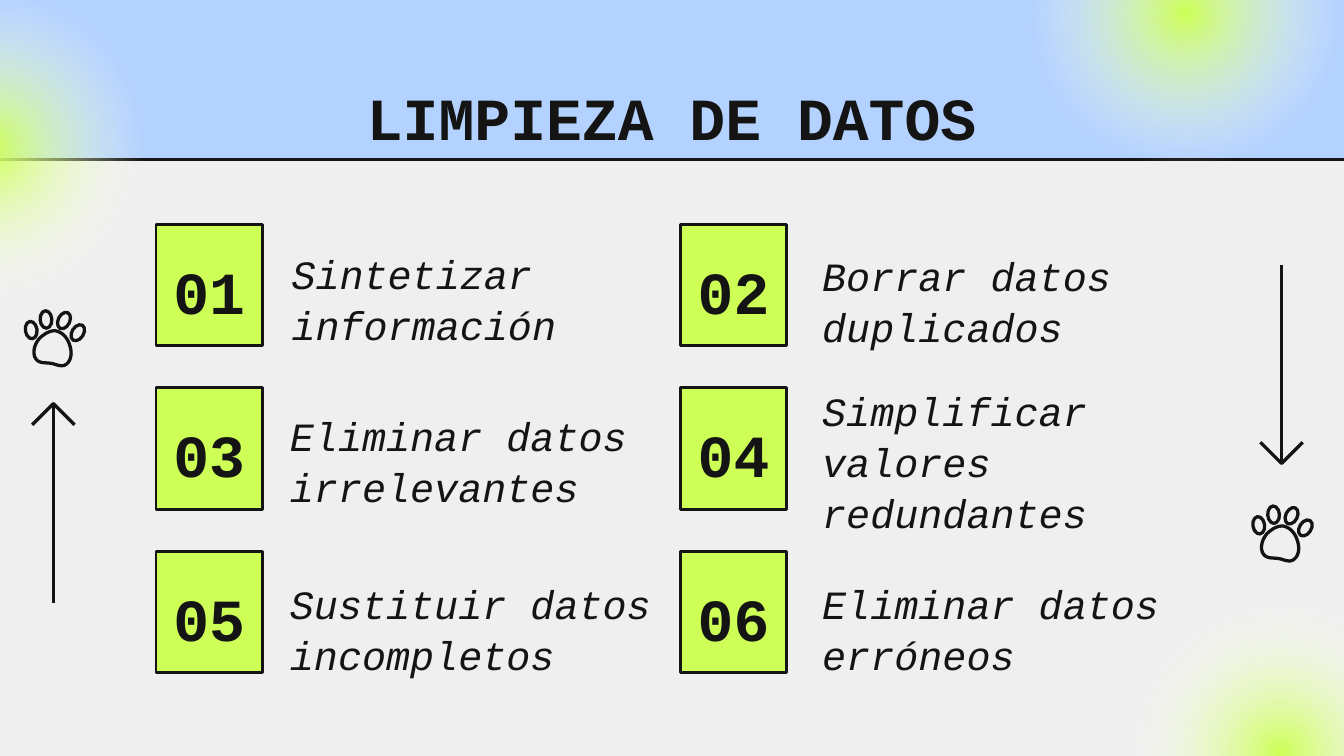
from lxml import etree
from pptx import Presentation
from pptx.dml.color import RGBColor
from pptx.enum.shapes import MSO_CONNECTOR as LINK, MSO_SHAPE as SHAPE
from pptx.enum.text import MSO_ANCHOR as ANCHOR, PP_ALIGN as ALIGN
from pptx.oxml import parse_xml
from pptx.oxml.ns import nsdecls, qn
from pptx.util import Cm, Pt

HUE = {"ink": "141414", "lime": "CDFF56", "sky": "B4D2FF", "page": "EFEFEF", "white": "FFFFFF"}
FONT = "Courier New"
WIDE, HIGH = 25.4, 14.29
STEPS = [
    # text, left and bottom of its box
    ("Sintetizar información", 5.26, 6.83),
    ("Borrar datos duplicados", 15.29, 6.88),
    ("Eliminar datos irrelevantes", 5.23, 9.91),
    ("Simplificar valores redundantes", 15.29, 10.39),
    ("Sustituir datos incompletos", 5.23, 13.08),
    ("Eliminar datos erróneos", 15.29, 13.08),
]
# Curves of the paw pad: two handles and an end point each
PAD = [
    ((.46, .39), (.36, .47), (.28, .56)),
    ((.17, .71), (.17, .91), (.28, .98)),
    ((.38, 1.04), (.48, .98), (.64, 1.03)),
    ((.69, 1.04), (.74, 1.05), (.79, 1.03)),
    ((.91, .97), (.94, .79), (.85, .61)),
    ((.80, .50), (.71, .41), (.58, .39)),
]
# Toes: centre and turn
TOES = [(.14, .38, -13), (.42, .18, -8), (.76, .20, 22), (1.02, .43, 28)]


def rgb(name):
    return RGBColor.from_string(HUE[name])


def paint(shape, fill=None, width=None):
    shape.shadow.inherit = False
    if fill:
        shape.fill.solid()
        shape.fill.fore_color.rgb = rgb(fill)
    else:
        shape.fill.background()
    if width:
        shape.line.color.rgb = rgb("ink")
        shape.line.width = Pt(width)
    else:
        shape.line.fill.background()
    return shape


def write(shape, text, size, bold=False, italic=False, align=ALIGN.LEFT,
          anchor=ANCHOR.TOP, space=1.15, after=0):
    frame = shape.text_frame
    frame.word_wrap = True
    frame.vertical_anchor = anchor
    frame.margin_left = frame.margin_right = Cm(.25)
    frame.margin_top = frame.margin_bottom = Cm(.25)
    para = frame.paragraphs[0]
    para.alignment, para.line_spacing, para.space_after = align, space, Pt(after)
    run = para.add_run()
    run.text = text
    font = run.font
    font.name, font.size, font.bold, font.italic = FONT, Pt(size), bold, italic
    font.color.rgb = rgb("ink")


def add_glow(slide, x, y, size=6.45):
    glow = paint(slide.shapes.add_shape(SHAPE.OVAL, Cm(x), Cm(y), Cm(size), Cm(size)))
    stops = "".join(
        f'<a:gs pos="{pos}"><a:srgbClr val="{HUE[name]}"><a:alpha val="{alpha}"/></a:srgbClr></a:gs>'
        for pos, name, alpha in [(0, "lime", 100000), (64000, "white", 0), (100000, "white", 0)])
    grad = parse_xml(
        f'<a:gradFill {nsdecls("a")}><a:gsLst>{stops}</a:gsLst><a:path path="circle">'
        '<a:fillToRect l="50000" t="50000" r="50000" b="50000"/></a:path></a:gradFill>')
    props = glow._element.spPr
    props.replace(props.find(qn("a:noFill")), grad)


def add_head(slide, x, y, w, h):
    # Band with its rule, glows over both, then the title
    paint(slide.shapes.add_shape(SHAPE.RECTANGLE, Cm(x), Cm(y), Cm(w), Cm(h)), "sky")
    rule = slide.shapes.add_connector(LINK.STRAIGHT, Cm(x), Cm(y + h), Cm(x + w), Cm(y + h))
    rule.line.color.rgb, rule.line.width = rgb("ink"), Pt(1.5)
    etree.SubElement(rule._element.spPr, qn("a:effectLst"))
    for left, top in [(-3.43, -.43), (20.98, 11), (19.18, -3)]:
        add_glow(slide, left, top)
    title = slide.shapes.add_textbox(Cm(x + 1.98), Cm(y + 1.07), Cm(w - 3.96), Cm(1.7))
    write(title, "LIMPIEZA DE DATOS", 32, bold=True, align=ALIGN.CENTER)


def add_steps(slide, x, y, gap_x, gap_y):
    for i, (text, left, base) in enumerate(STEPS):
        row, col = divmod(i, 2)
        tile = paint(slide.shapes.add_shape(
            SHAPE.RECTANGLE, Cm(x + col * gap_x), Cm(y + row * gap_y), Cm(2.01), Cm(2.3)), "lime", 1.5)
        write(tile, f"{i + 1:02}", 32, bold=True, align=ALIGN.CENTER, anchor=ANCHOR.MIDDLE)
        high = 1.14
        label = slide.shapes.add_textbox(Cm(left), Cm(base - high), Cm(7.65), Cm(high))
        write(label, text, 21.5, italic=True, anchor=ANCHOR.BOTTOM, space=1.06, after=12)


def trace(slide, x, y, lines, closed=False):
    """Draw one outline from lists of points given relative to x, y."""
    spots = [[(Cm(x + a), Cm(y + b)) for a, b in line] for line in lines]
    pen = slide.shapes.build_freeform(*spots[0][0])
    pen.add_line_segments(spots[0][1:], close=closed)
    for line in spots[1:]:
        pen.move_to(*line[0])
        pen.add_line_segments(line[1:], close=closed)
    return paint(pen.convert_to_shape(), width=1.75)


def add_paw(slide, x, y, turn=4.2):
    start = PAD[-1][-1]
    rim = [start]
    for one, two, end in PAD:
        for t in (k / 8 for k in range(1, 9)):
            s = 1 - t
            rim.append(tuple(s**3 * a + 3 * s * s * t * b + 3 * s * t * t * c + t**3 * d
                             for a, b, c, d in zip(start, one, two, end)))
        start = end
    trace(slide, x, y, [rim], closed=True).rotation = turn
    w, h = .22, .33
    for cx, cy, tilt in TOES:
        toe = slide.shapes.add_shape(SHAPE.OVAL, Cm(x + cx - w / 2), Cm(y + cy - h / 2), Cm(w), Cm(h))
        paint(toe, width=1.75).rotation = tilt + turn


def add_arrow(slide, x, y, w, h, turn=0):
    mid, wing = w / 2, w / 2
    shaft = [(mid, h), (mid, 0)]
    tip = [(0, wing), (mid, 0), (w, wing)]
    trace(slide, x, y, [shaft, tip]).rotation = turn


def main():
    deck = Presentation()
    deck.slide_width, deck.slide_height = Cm(WIDE), Cm(HIGH)
    slide = deck.slides.add_slide(deck.slide_layouts[6])
    slide.background.fill.solid()
    slide.background.fill.fore_color.rgb = rgb("page")
    add_head(slide, 0, 0, WIDE, 3.01)
    add_steps(slide, 2.95, 4.24, 9.91, 3.09)
    # Side marks
    add_paw(slide, 23.65, 9.55)
    add_paw(slide, .45, 5.86)
    add_arrow(slide, .61, 7.63, .8, 3.76)
    add_arrow(slide, 23.82, 5, .8, 3.76, turn=180)
    deck.save("out.pptx")


if __name__ == "__main__":
    main()
